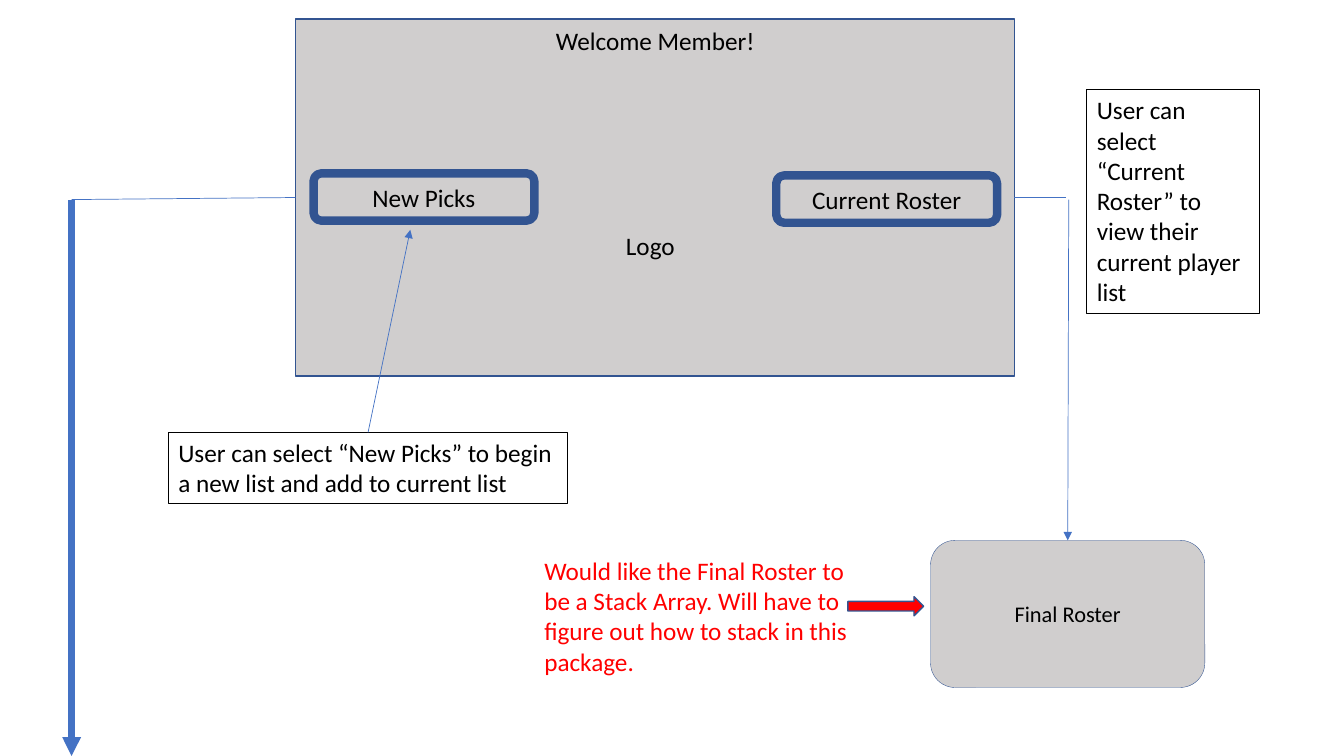
from pptx import Presentation
from pptx.dml.color import RGBColor
from pptx.enum.shapes import MSO_CONNECTOR as CONN, MSO_SHAPE as SHAPE
from pptx.enum.text import MSO_ANCHOR as ANCHOR, PP_ALIGN as ALIGN
from pptx.oxml.ns import qn
from pptx.util import Inches, Pt
from lxml.etree import SubElement

THEME = {
    "font": "Calibri", "body": 18, "small": 16,
    "grey": "D0CECE", "navy": "325491", "blue": "4472C4",
    "black": "000000", "red": "FF0000",
}

PANEL = (21.98, 2.53, 53.49, 47.2)
PICKS_NOTE = (12.53, 57.2, 29.71, 9.47)
FINAL = (69.24, 71.47, 20.41, 19.47)
BUTTON = (16.43, 6.27)
panel_right = PANEL[0] + PANEL[2]
panel_middle = PANEL[1] + PANEL[3] / 2
note_middle = PICKS_NOTE[0] + PICKS_NOTE[2] / 2
final_middle = FINAL[0] + FINAL[2] / 2
left_rail, right_rail, rail_top = 5.33, 79.52, 26.4

STYLES = {
    "panel": dict(shape=SHAPE.RECTANGLE, fill="grey", line="navy", width=1),
    "button": dict(shape=SHAPE.ROUNDED_RECTANGLE, fill="grey", line="navy", width=6,
                   align=ALIGN.CENTER, anchor=ANCHOR.MIDDLE),
    "final": dict(shape=SHAPE.ROUNDED_RECTANGLE, fill="grey", line="navy", width=0.25,
                  align=ALIGN.CENTER, anchor=ANCHOR.MIDDLE, size="small"),
    "note": dict(shape=SHAPE.RECTANGLE, line="black", width=0.75),
    "label": dict(align=ALIGN.CENTER),
    "remark": dict(color="red"),
    "pointer": dict(shape=SHAPE.RIGHT_ARROW, fill="red", line="navy", width=1),
}

BOXES = [
    ("panel", PANEL, ""),
    ("button", (23.33, 22.93, *BUTTON), "New Picks"),
    ("button", (57.76, 23.2, *BUTTON), "Current Roster"),
    ("note", PICKS_NOTE,
     "User can select “New Picks” to begin a new list and add to current list"),
    ("note", (80.87, 11.87, 12.83, 29.6),
     "User can select “Current Roster” to view their current player list"),
    ("label", (44.79, 29.87, 7.2, 5.33), "Logo"),
    ("label", (39.76, 2.67, 18, 5.33), "Welcome Member!"),
    ("final", FINAL, "Final Roster"),
    ("remark", (39.76, 72.8, 25.88, 17.47),
     "Would like the Final Roster to be a Stack Array. "
     "Will have to figure out how to stack in this package."),
    ("pointer", (63.09, 78.93, 5.63, 2.53), ""),
]

LINES = [
    ((note_middle, PICKS_NOTE[1]), (30.53, 30.4), 0.5, True),
    ((panel_right, panel_middle), (79.29, panel_middle), 0.5, False),
    ((right_rail, rail_top), (final_middle, FINAL[1]), 0.5, True),
    ((PANEL[0], panel_middle), (left_rail, rail_top), 0.5, False),
    ((left_rail, rail_top), (left_rail, 100), 4.5, True),
]

prs = Presentation()
prs.slide_width, prs.slide_height = Inches(13.33), Inches(7.5)
s = prs.slides.add_slide(prs.slide_layouts[6])


def color(name):
    return RGBColor.from_string(THEME[name])


def place(*shares):
    sides = (prs.slide_width, prs.slide_height) * 2
    return [round(side * share / 100) for side, share in zip(sides, shares)]


def add_box(style, at, text):
    look = STYLES[style]
    if "shape" in look:
        sp = s.shapes.add_shape(look["shape"], *place(*at))
        sp.shadow.inherit = False
        if "fill" in look:
            sp.fill.solid()
            sp.fill.fore_color.rgb = color(look["fill"])
        else:
            sp.fill.background()
        sp.line.color.rgb = color(look["line"])
        sp.line.width = Pt(look["width"])
    else:
        sp = s.shapes.add_textbox(*place(*at))
    if not text:
        return
    tf = sp.text_frame
    tf.word_wrap = True
    tf.vertical_anchor = look.get("anchor", ANCHOR.TOP)
    p = tf.paragraphs[0]
    p.alignment = look.get("align", ALIGN.LEFT)
    r = p.add_run()
    r.text = text
    font = {"name": THEME["font"], "size": Pt(THEME[look.get("size", "body")])}
    for key, value in font.items():
        setattr(r.font, key, value)
    r.font.color.rgb = color(look.get("color", "black"))


def add_line(start, end, width, arrow):
    line = s.shapes.add_connector(CONN.STRAIGHT, *place(*start, *end))
    line.line.color.rgb = color("blue")
    line.line.width = Pt(width)
    if arrow:
        SubElement(line.line._get_or_add_ln(), qn("a:tailEnd"), type="triangle")
    SubElement(line._element.spPr, qn("a:effectLst"))


for box in BOXES:
    add_box(*box)
for link in LINES:
    add_line(*link)

prs.save("out.pptx")
